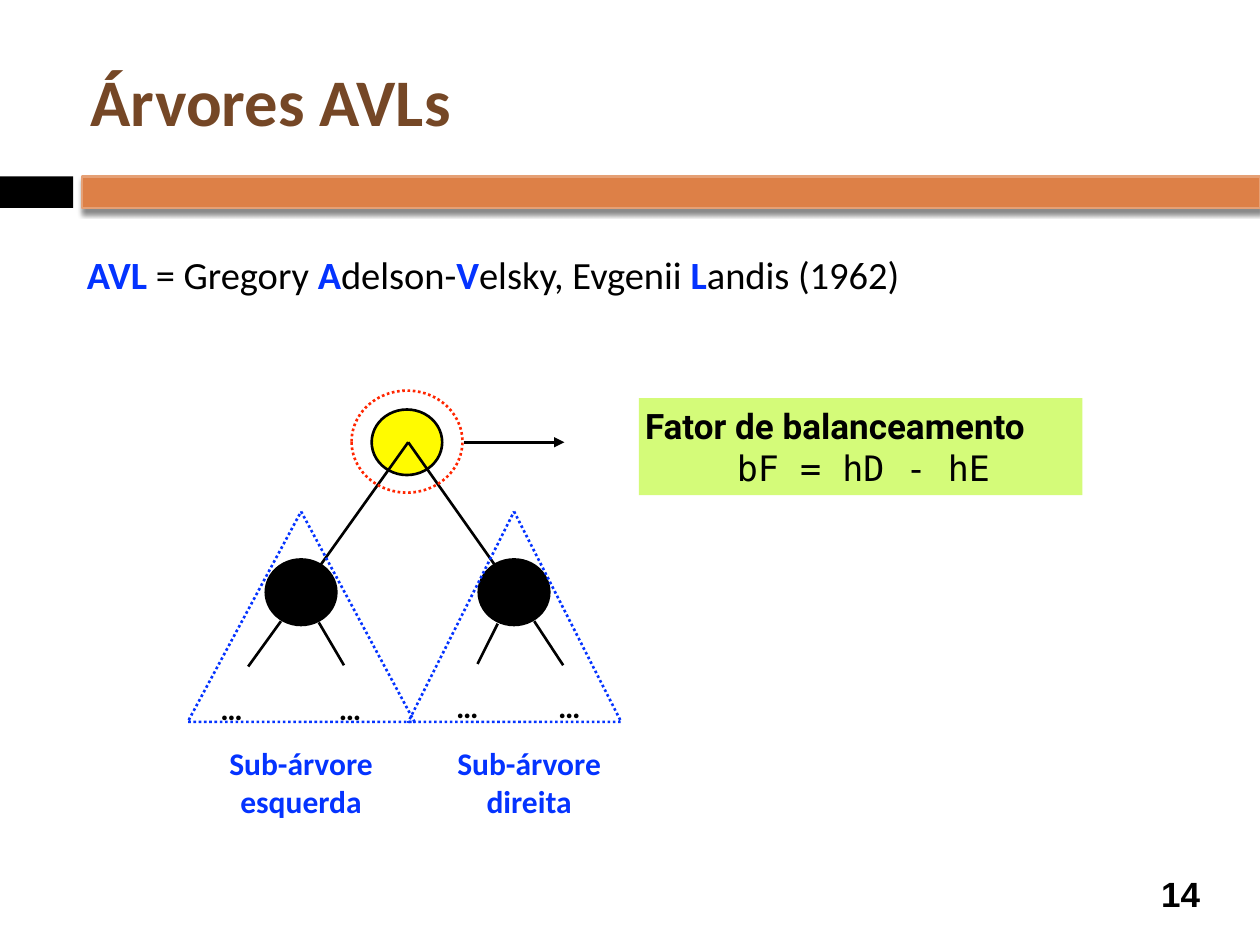
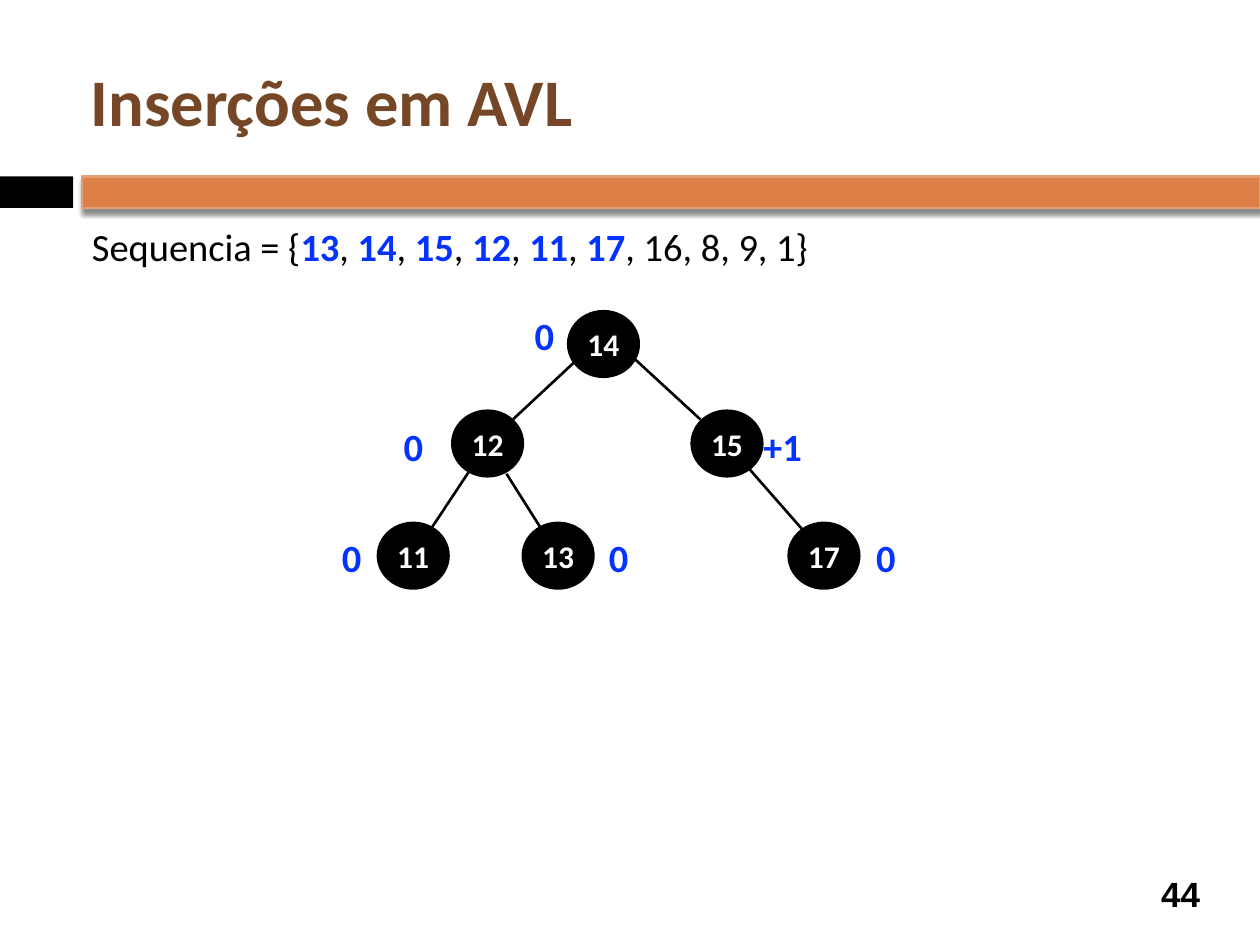
from lxml.etree import SubElement
from pptx import Presentation
from pptx.dml.color import RGBColor
from pptx.enum.dml import MSO_LINE
from pptx.enum.shapes import MSO_CONNECTOR, MSO_SHAPE
from pptx.enum.text import MSO_ANCHOR, MSO_AUTO_SIZE, PP_ALIGN
from pptx.oxml.ns import qn
from pptx.util import Emu, Pt

PX = 9144  # 100 px to the inch
COLORS = {
    "black": "000000", "white": "FFFFFF", "blue": "0433FF", "brown": "754726",
    "orange": "DD8047", "peach": "E5A075", "yellow": "FFFB00", "red": "FF2600",
    "lime": "D4FB79",
}
NODE_W, NODE_H = 56, 52
INSET = 5


def px(*lengths):
    return [Emu(length * PX) for length in lengths]


def rgb(name):
    return RGBColor.from_string(COLORS[name])


def set_all(target, values):
    for name, value in values.items():
        setattr(target, name, value)


class Deck:
    """Holds the shared style and the slide being drawn."""

    def __init__(self):
        self.prs = Presentation()
        self.prs.slide_width, self.prs.slide_height = px(1000, 750)
        self.shapes = None

    def new_slide(self, title, number):
        self.shapes = self.prs.slides.add_slide(self.prs.slide_layouts[6]).shapes
        self.shape(MSO_SHAPE.RECTANGLE, 0, 140, 58, 25, fill="black")
        band = self.shape(MSO_SHAPE.RECTANGLE, 65, 140, 935, 25, "orange", "peach")
        self.drop_shadow(band)
        self.text(67, 25, 892, 108, [title], size=38, color="brown", bold=True,
                  anchor=MSO_ANCHOR.MIDDLE, wrap=True)
        self.text(908, 689, 58, 41, [number], size=20, font="Arial", bold=True,
                  align=PP_ALIGN.CENTER, anchor=MSO_ANCHOR.MIDDLE, wrap=True)

    def drop_shadow(self, shape):
        effects = shape._element.spPr.find(qn("a:effectLst"))
        shadow = SubElement(effects, qn("a:outerShdw"), blurRad=str(Pt(3)),
                            dist=str(Pt(2.4)), dir="5400000", rotWithShape="0")
        color = SubElement(shadow, qn("a:srgbClr"), val=COLORS["black"])
        SubElement(color, qn("a:alpha"), val="45000")

    def paint(self, shape, fill, line, dotted):
        shape.shadow.inherit = False
        if fill:
            shape.fill.solid()
            shape.fill.fore_color.rgb = rgb(fill)
        else:
            shape.fill.background()
        if line:
            shape.line.color.rgb = rgb(line)
            shape.line.width = Pt(1.5)
            if dotted:
                shape.line.dash_style = MSO_LINE.ROUND_DOT
        else:
            shape.line.fill.background()
        return shape

    def shape(self, kind, left, top, width, height, fill=None, line=None, dotted=False):
        shape = self.shapes.add_shape(kind, *px(left, top, width, height))
        return self.paint(shape, fill, line, dotted)

    def frame(self, shape, anchor, wrap, grow=False):
        inset, = px(INSET)
        set_all(shape.text_frame, {
            "margin_left": inset, "margin_right": inset,
            "margin_top": inset, "margin_bottom": inset,
            "vertical_anchor": anchor, "word_wrap": wrap,
            "auto_size": MSO_AUTO_SIZE.SHAPE_TO_FIT_TEXT if grow else MSO_AUTO_SIZE.NONE,
        })
        return shape.text_frame

    def add_words(self, paragraph, words, size=18, font="Calibri", color="black",
                  bold=False, align=PP_ALIGN.LEFT):
        """Fill a paragraph; the parts between asterisks come out bold and blue."""
        paragraph.alignment = align
        for index, part in enumerate(words.split("*")):
            if part:
                marked = index % 2 == 1
                run = paragraph.add_run()
                run.text = part
                set_all(run.font, {"size": Pt(size), "name": font, "bold": bold or marked})
                run.font.color.rgb = rgb("blue" if marked else color)

    def text(self, left, top, width, height, lines, anchor=MSO_ANCHOR.TOP,
             wrap=False, **style):
        box = self.shapes.add_textbox(*px(left, top, width, height))
        frame = self.frame(box, anchor, wrap, grow=not wrap)
        for index, words in enumerate(lines):
            paragraph = frame.add_paragraph() if index else frame.paragraphs[0]
            self.add_words(paragraph, words, **style)

    def node(self, left, top, key="", fill="black"):
        circle = self.shape(MSO_SHAPE.OVAL, left, top, NODE_W, NODE_H, fill, "black")
        if key:
            frame = self.frame(circle, MSO_ANCHOR.MIDDLE, True)
            self.add_words(frame.paragraphs[0], key, color="white", bold=True,
                           align=PP_ALIGN.CENTER)

    def line(self, x1, y1, x2, y2, arrow=False):
        connector = self.shapes.add_connector(MSO_CONNECTOR.STRAIGHT, *px(x1, y1, x2, y2))
        connector.line.color.rgb = rgb("black")
        connector.line.width = Pt(1.5)
        properties = connector._element.spPr
        if arrow:
            SubElement(properties.find(qn("a:ln")), qn("a:tailEnd"), type="triangle")
        SubElement(properties, qn("a:effectLst"))

    def subtree(self, apex, left, right, top=406, base=573):
        outline = self.shapes.build_freeform(*px(apex, top))
        outline.add_line_segments([px(right, base), px(left, base)], close=True)
        self.paint(outline.convert_to_shape(), None, "blue", True)

    def formula(self, left, top, width, height, heading, expression):
        box = self.shape(MSO_SHAPE.RECTANGLE, left, top, width, height, "lime")
        frame = self.frame(box, MSO_ANCHOR.TOP, True, grow=True)
        self.add_words(frame.paragraphs[0], heading, size=20, font="Roboto", bold=True)
        paragraph = frame.add_paragraph()
        self.add_words(paragraph, expression, size=20, font="DejaVu Sans Mono")
        properties = paragraph._p.get_or_add_pPr()
        properties.set("marL", "0")
        properties.set("indent", str(56 * PX))


def avl_trees(deck):
    deck.new_slide("Árvores AVLs", "14")
    deck.text(64, 194, 679, 43,
              ["*AVL* = Gregory *A*delson-*V*elsky, Evgenii *L*andis (1962)"], size=22)

    root_x, root_y, child_y = 324, 351, 470
    deck.node(295, 325, fill="yellow")
    for child_x in (239, 408):
        deck.node(child_x - NODE_W // 2, child_y - NODE_H // 2)
        deck.line(child_x, child_y, root_x, root_y)
    for branch in ((197, 529, 223, 493), (273, 528, 253, 494),
                   (379, 527, 395, 495), (447, 528, 424, 493)):
        deck.line(*branch)
    for left, top in ((170, 542), (264, 542), (357, 540), (438, 540)):
        deck.text(left, top, 36, 36, ["…"], bold=True)

    deck.line(368, root_y, 448, root_y, arrow=True)
    deck.shape(MSO_SHAPE.OVAL, 279, 310, 88, 81, line="red", dotted=True)
    deck.formula(507, 316, 352, 77, "Fator de balanceamento", " bF = hD - hE")

    for side, label_left, apex, left, right in (("esquerda", 176, 239, 149, 329),
                                                ("direita", 357, 408, 324, 493)):
        deck.subtree(apex, left, right)
        deck.text(label_left, 586, 126, 63, ["Sub-árvore", side], color="blue",
                  bold=True, align=PP_ALIGN.CENTER)


def avl_insertions(deck):
    deck.new_slide("Inserções em AVL", "44")
    deck.text(68, 172, 609, 43,
              ["Sequencia = {*13*, *14*, *15*, *12*, *11*, *17*, 16, 8, 9, 1}"], size=22)

    for edge in ((407, 333, 481, 264), (556, 333, 481, 264), (402, 376, 443, 441),
                 (328, 441, 387, 352), (655, 441, 577, 352)):
        deck.line(*edge)
    # key, node left, node top, balance, balance left, balance top, balance width
    for key, left, top, balance, *place in (
            ("14", 451, 247, "0", 418, 243, 28),
            ("12", 359, 326, "0", 314, 331, 28),
            ("15", 549, 326, "+1", 597, 331, 48),
            ("11", 300, 415, "0", 265, 419, 28),
            ("13", 415, 415, "0", 477, 419, 28),
            ("17", 626, 415, "0", 689, 419, 28)):
        deck.node(left, top, key)
        deck.text(*place, 43, [balance], size=22, color="blue", bold=True,
                  align=PP_ALIGN.CENTER)


def main():
    deck = Deck()
    avl_trees(deck)
    avl_insertions(deck)
    deck.prs.save("out.pptx")


if __name__ == "__main__":
    main()
